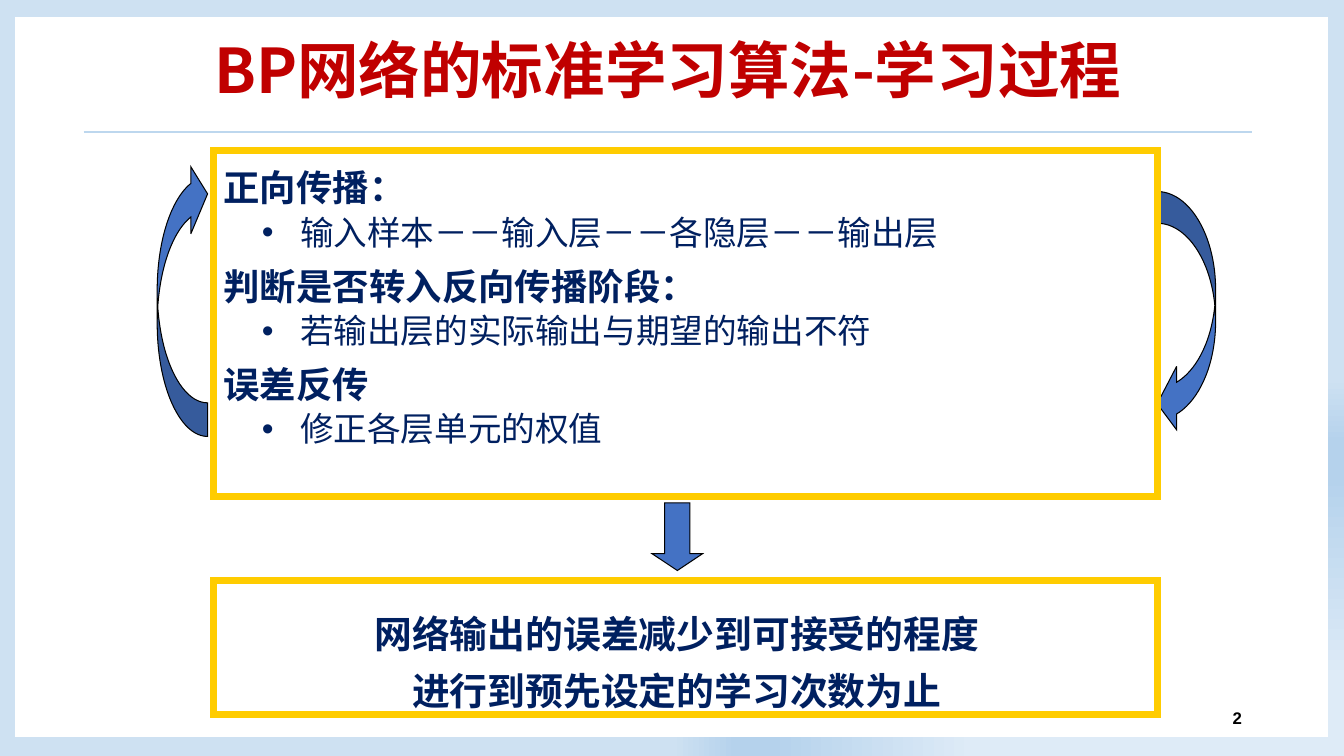
from lxml.etree import SubElement
from pptx import Presentation
from pptx.dml.color import RGBColor
from pptx.enum.shapes import MSO_CONNECTOR, MSO_SHAPE as SHAPE
from pptx.enum.text import MSO_ANCHOR as ANCHOR, PP_ALIGN as ALIGN
from pptx.oxml import parse_xml
from pptx.oxml.ns import nsdecls, qn
from pptx.util import Inches, Pt

FONT = "Noto Sans CJK SC"
NAVY, RED, BLUE, GOLD = "002060", "C00000", "4472C4", "FFCC00"
W, H = 40 / 3, 7.5
BOX_X, BOX_W = 2.12, 9.36


def add_block(kind, at, fill, line, width, adj=()):
    sp = shapes.add_shape(kind, *map(Inches, at))
    sp.shadow.inherit = False
    if fill:
        sp.fill.solid()
        sp.fill.fore_color.rgb = RGBColor.from_string(fill)
    else:
        sp.fill.background()
    sp.line.color.rgb = RGBColor.from_string(line)
    sp.line.width = Pt(width)
    SubElement(sp.line._get_or_add_ln(), qn("a:miter"), lim="800000")
    for i, value in enumerate(adj):
        sp.adjustments[i] = value
    return sp


def write(p, text, size, color, bold=True, align=ALIGN.LEFT, font=FONT):
    p.text = text
    p.alignment = align
    f = p.runs[0].font
    f.size, f.bold, f.name = Pt(size), bold, font
    f.color.rgb = RGBColor.from_string(color)
    SubElement(p.runs[0]._r.get_or_add_rPr(), qn("a:ea"), typeface=font)


prs = Presentation()
prs.slide_width, prs.slide_height = Inches(W), Inches(H)
slide = prs.slides.add_slide(prs.slide_layouts[5])
shapes = slide.shapes

# Background gradient, spreading from the bottom right corner
stops = [(20, "DEEBF7"), (74, "B5D2EC"), (83, "B5D2EC"), (100, "CEE1F2")]
stop_xml = "".join(f'<a:gs pos="{pos * 1000}"><a:srgbClr val="{c}"/></a:gs>' for pos, c in stops)
slide.background.fill.solid()
bg_pr = slide._element.cSld.bg.bgPr
bg_pr.replace(bg_pr[0], parse_xml(
    f'<a:gradFill {nsdecls("a")} rotWithShape="1"><a:gsLst>{stop_xml}</a:gsLst>'
    '<a:path path="rect"><a:fillToRect l="100000" t="100000"/></a:path></a:gradFill>'))

# White panel behind the title, and the rule under it
panel = add_block(SHAPE.RECTANGLE, (0.16, 0.18, 13.01, 7.13), "FFFFFF", "FFFFFF", 1)
shapes._spTree.insert(2, panel._element)
rule = shapes.add_connector(MSO_CONNECTOR.STRAIGHT, *map(Inches, (0.83, 1.31, 12.42, 1.31)))
rule.line.color.rgb = RGBColor.from_string("BDD7EE")
rule.line.width = Pt(2)
SubElement(rule._element.spPr, qn("a:effectLst"))

title = shapes.title
title.left, title.top, title.width, title.height = map(Inches, (0.83, 0.23, 11.59, 1))
tf = title.text_frame
tf.vertical_anchor = ANCHOR.MIDDLE
p = tf.paragraphs[0]
write(p, "BP网络的标准学习算法-学习过程", 44, RED, align=ALIGN.CENTER)
p.line_spacing = 0.9
pPr = p._p.get_or_add_pPr()
pPr.set("marL", str(Inches(0.38)))
pPr.set("indent", str(-Inches(0.38)))

number = shapes.add_textbox(*map(Inches, (9.42, 6.92, 3, 0.4)))
number.text_frame.word_wrap = True
number.text_frame.vertical_anchor = ANCHOR.MIDDLE
write(number.text_frame.paragraphs[0], "2", 12, "000000", align=ALIGN.RIGHT, font="Arial")

# Arrows of the learning loop
add_block(SHAPE.CURVED_LEFT_ARROW, (BOX_X + BOX_W, 1.9, 0.58, 2.42), BLUE, "000000", 0.75,
          (0.543, 1.086, 0.333))
back = add_block(SHAPE.CURVED_RIGHT_ARROW, (1.56, 1.59, 0.5, 2.74), BLUE, "000000", 0.75,
                 (0.667, 1.333, 0.333))
back.rotation = 180
back._element.spPr.xfrm.set("flipH", "1")
add_block(SHAPE.DOWN_ARROW, (6.47, 4.99, 0.5, 0.67), BLUE, "000000", 0.75, (0.5, 0.333))

# Framed boxes: top, height, top inset, paragraphs as (style, text)
styles = {  # size, bold, alignment, line spacing
    "head": (26, True, ALIGN.LEFT, 1.1),
    "item": (24, False, ALIGN.LEFT, 0.9),
    "goal": (27, True, ALIGN.CENTER, 1.1),
}
boxes = [
    (1.49, 3.44, 0.11, [
        ("head", "正向传播："),
        ("item", "输入样本－－输入层－－各隐层－－输出层"),
        ("head", "判断是否转入反向传播阶段："),
        ("item", "若输出层的实际输出与期望的输出不符"),
        ("head", "误差反传"),
        ("item", "修正各层单元的权值")]),
    (5.76, 1.33, 0.25, [
        ("goal", "网络输出的误差减少到可接受的程度"),
        ("goal", "进行到预先设定的学习次数为止")]),
]
for top, height, inset, lines in boxes:
    box = add_block(SHAPE.RECTANGLE, (BOX_X, top, BOX_W, height), None, GOLD, 5)
    tf = box.text_frame
    tf.word_wrap = True
    tf.vertical_anchor = ANCHOR.TOP
    tf.margin_top, tf.margin_right, tf.margin_bottom = Inches(inset), Inches(0.27), 0
    for i, (style, text) in enumerate(lines):
        p = tf.add_paragraph() if i else tf.paragraphs[0]
        size, bold, align, spacing = styles[style]
        write(p, text, size, NAVY, bold, align)
        p.line_spacing, p.space_before = spacing, Pt(5)
        if style == "item":
            pPr = p._p.get_or_add_pPr()
            pPr.set("marL", str(Inches(0.76)))
            pPr.set("indent", str(-Inches(0.38)))
            SubElement(pPr, qn("a:buFont"), typeface="Arial")
            SubElement(pPr, qn("a:buChar"), char="•")

prs.save("out.pptx")
